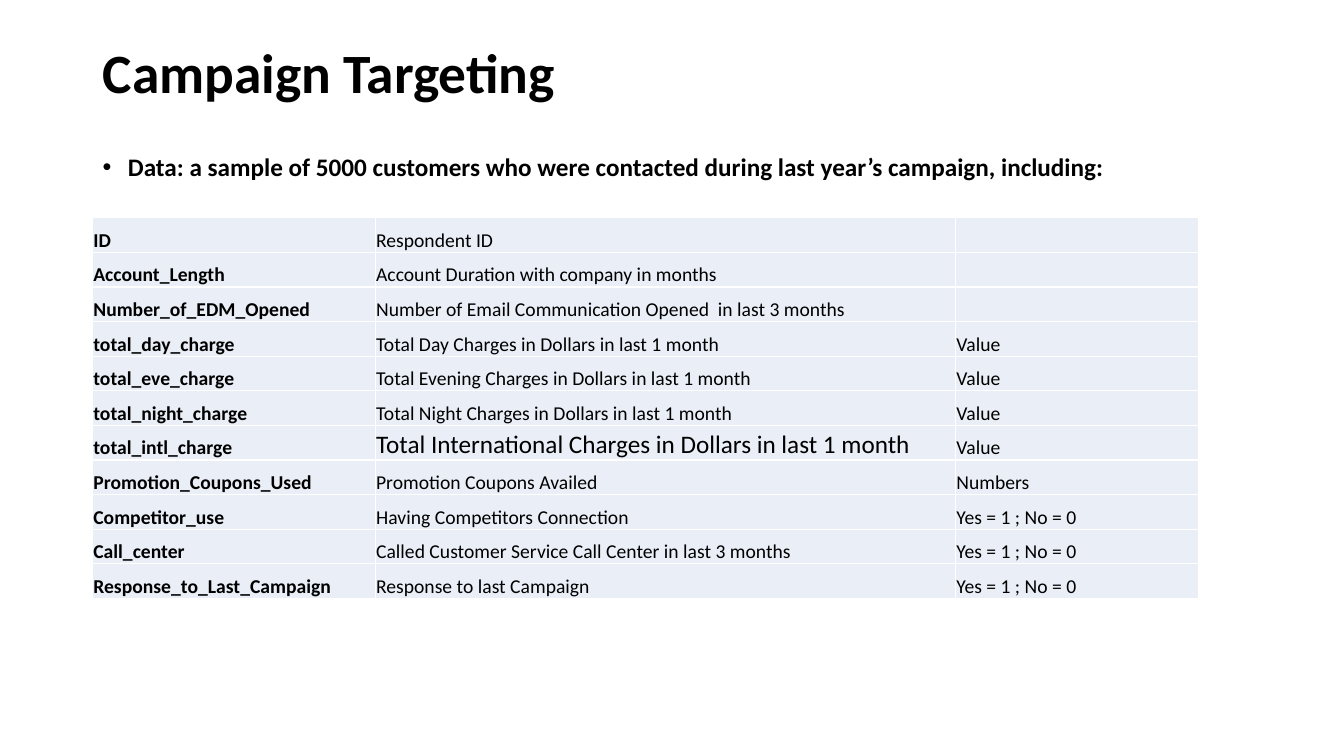
from pptx import Presentation
from pptx.dml.color import RGBColor
from pptx.enum.text import MSO_ANCHOR, MSO_AUTO_SIZE, PP_ALIGN
from pptx.oxml import parse_xml
from pptx.oxml.ns import nsdecls
from pptx.util import Pt

TITLE = "Campaign Targeting"
INTRO = "Data: a sample of 5000 customers who were contacted during last year’s campaign, including:"
YES_NO = "Yes = 1 ; No = 0"
FIELDS = [
    ("ID", "Respondent ID", ""),
    ("Account_Length", "Account Duration with company in months", ""),
    ("Number_of_EDM_Opened", "Number of Email Communication Opened  in last 3 months", ""),
    ("total_day_charge", "Total Day Charges in Dollars in last 1 month", "Value"),
    ("total_eve_charge", "Total Evening Charges in Dollars in last 1 month", "Value"),
    ("total_night_charge", "Total Night Charges in Dollars in last 1 month", "Value"),
    ("total_intl_charge", "Total International Charges in Dollars in last 1 month", "Value"),
    ("Promotion_Coupons_Used", "Promotion Coupons Availed", "Numbers"),
    ("Competitor_use", "Having Competitors Connection", YES_NO),
    ("Call_center", "Called Customer Service Call Center in last 3 months", YES_NO),
    ("Response_to_Last_Campaign", "Response to last Campaign", YES_NO),
]
LARGE_CELL = (6, 1)

FONT = "Calibri"
BLACK = RGBColor(0x00, 0x00, 0x00)
WHITE = RGBColor(0xFF, 0xFF, 0xFF)
PALE_BLUE = RGBColor(0xEA, 0xEF, 0xF7)
LEFT, WIDTH = 66.2, 828
TABLE_TOP, ROW_HEIGHT = 155.6, 24.72
COLUMN_WIDTHS = [202, 414.5, 173.3]


def format_runs(p, size, bold):
    for r in p.runs:
        r.font.name = FONT
        r.font.size = Pt(size)
        r.font.bold = bold
        r.font.color.rgb = BLACK


def fill_placeholder(sp, text, top, height, size, anchor, spacing):
    sp.left, sp.top, sp.width, sp.height = Pt(LEFT), Pt(top), Pt(WIDTH), Pt(height)
    tf = sp.text_frame
    tf.text = text
    tf.word_wrap = True
    tf.auto_size = MSO_AUTO_SIZE.NONE
    tf.vertical_anchor = anchor
    p = tf.paragraphs[0]
    p.alignment = PP_ALIGN.LEFT
    p.line_spacing = spacing
    format_runs(p, size, True)
    return p


def format_cell(cell, text, size, bold):
    cell.text = text
    cell.vertical_anchor = MSO_ANCHOR.BOTTOM
    cell.margin_left = cell.margin_right = cell.margin_top = Pt(0.5)
    cell.margin_bottom = 0
    format_runs(cell.text_frame.paragraphs[0], size, bold)
    tcPr = cell._tc.get_or_add_tcPr()
    for side in ("lnL", "lnR", "lnT", "lnB"):
        tcPr.append(parse_xml(
            f'<a:{side} {nsdecls("a")} w="{Pt(1)}"><a:solidFill>'
            f'<a:srgbClr val="{WHITE}"/></a:solidFill></a:{side}>'))
    cell.fill.solid()
    cell.fill.fore_color.rgb = PALE_BLUE


prs = Presentation()
prs.slide_width, prs.slide_height = Pt(960), Pt(540)
s = prs.slides.add_slide(prs.slide_layouts[1])

fill_placeholder(s.shapes.title, TITLE, 28.8, 49.7, 39.6, MSO_ANCHOR.MIDDLE, 0.9)

p = fill_placeholder(s.placeholders[1], INTRO, 95.8, 390, 18, MSO_ANCHOR.TOP, 1.4)
p.space_before = Pt(10)
pPr = p._p.get_or_add_pPr()
pPr.set("marL", str(Pt(18)))
pPr.set("indent", str(-Pt(18)))
pPr.append(parse_xml(f'<a:buFont {nsdecls("a")} typeface="Arial"/>'))
pPr.append(parse_xml(f'<a:buChar {nsdecls("a")} char="•"/>'))

table = s.shapes.add_table(
    len(FIELDS), len(COLUMN_WIDTHS), Pt(LEFT), Pt(TABLE_TOP),
    Pt(sum(COLUMN_WIDTHS)), Pt(ROW_HEIGHT * len(FIELDS))).table
table.first_row = table.horz_banding = False
for column, width in zip(table.columns, COLUMN_WIDTHS):
    column.width = Pt(width)
for i, field in enumerate(FIELDS):
    table.rows[i].height = Pt(ROW_HEIGHT)
    for j, text in enumerate(field):
        size = 18 if (i, j) == LARGE_CELL else 14
        format_cell(table.cell(i, j), text, size, j == 0)

prs.save("out.pptx")
